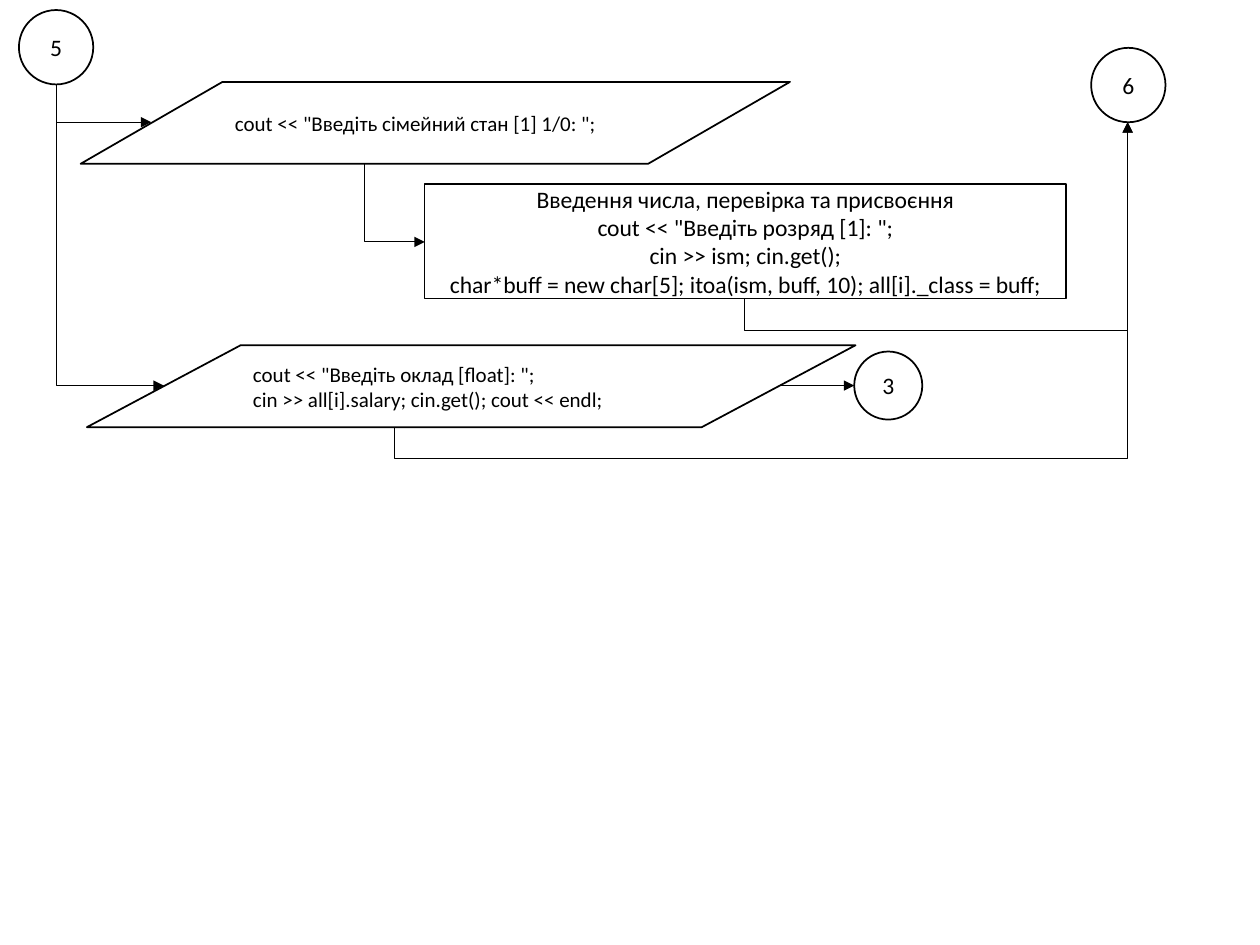
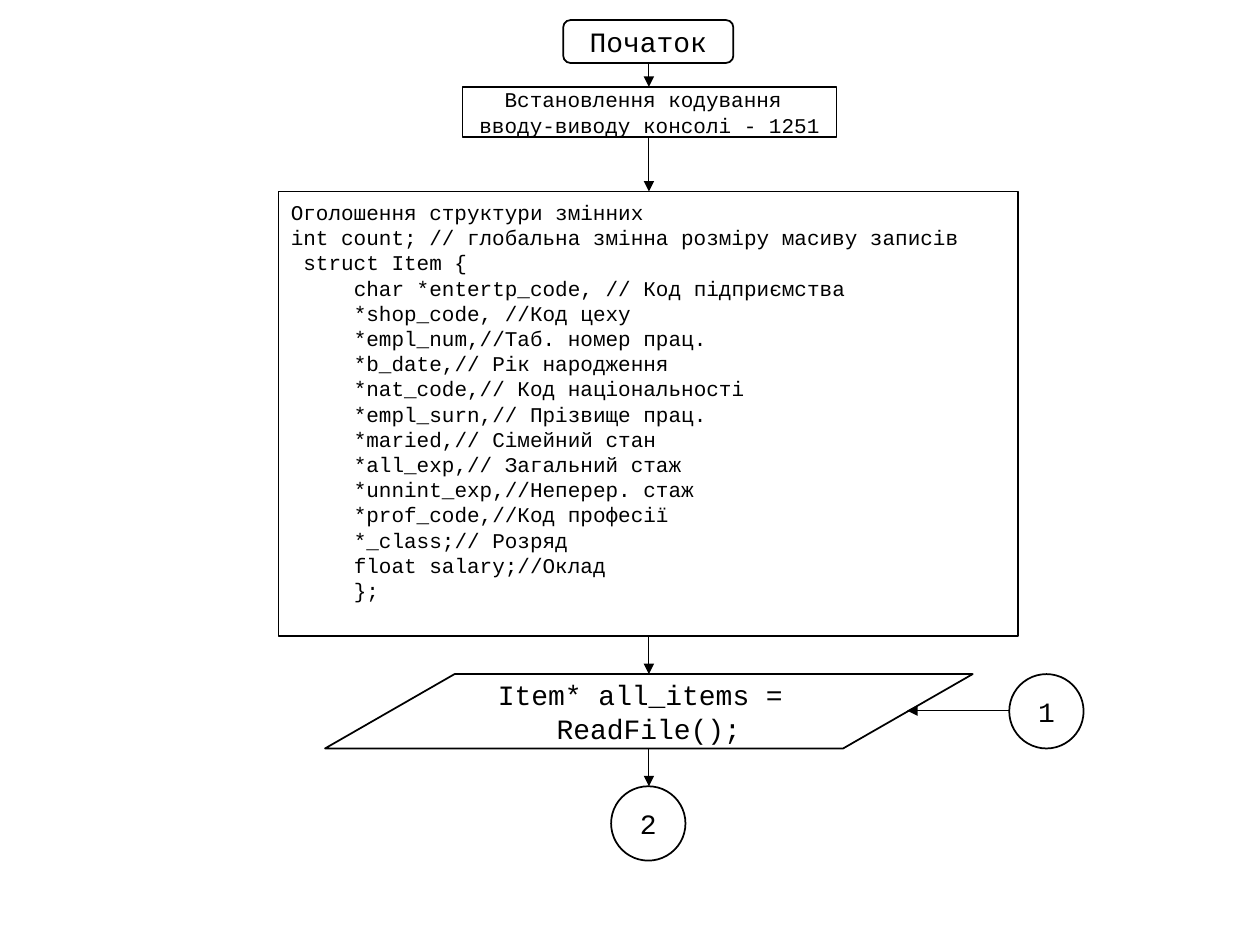
from pptx import Presentation
from pptx.dml.color import RGBColor
from pptx.enum.shapes import MSO_CONNECTOR as Link, MSO_SHAPE as Shape
from pptx.enum.text import MSO_ANCHOR as Anchor, PP_ALIGN as Align
from pptx.oxml.ns import qn
from pptx.util import Inches, Pt
from lxml.etree import SubElement

BLACK, WHITE = "000000", "FFFFFF"
SANS, MONO = "Calibri", "Courier New"
CIRCLE = 0.59
DROP = 0.25
AXIS = 5.15

FIELDS = [
    "char *entertp_code, // Код підприємства",
    "*shop_code, //Код цеху",
    "*empl_num,//Таб. номер прац.",
    "*b_date,// Рік народження",
    "*nat_code,// Код національності",
    "*empl_surn,// Прізвище прац.",
    "*maried,// Сімейний стан",
    "*all_exp,// Загальний стаж",
    "*unnint_exp,//Неперер. стаж",
    "*prof_code,//Код професії",
    "*_class;// Розряд",
    "float salary;//Оклад",
    "};",
]


def color(hex_code):
    return RGBColor.from_string(hex_code)


def block(slide, kind, box, lines, font, size, align=Align.CENTER):
    shape = slide.shapes.add_shape(kind, *map(Inches, box))
    shape.shadow.inherit = False
    shape.fill.solid()
    shape.fill.fore_color.rgb = color(WHITE)
    shape.line.color.rgb = color(BLACK)
    shape.line.width = Pt(1)
    frame = shape.text_frame
    frame.word_wrap = True
    frame.vertical_anchor = Anchor.MIDDLE
    for index, line in enumerate(lines):
        paragraph = frame.add_paragraph() if index else frame.paragraphs[0]
        paragraph.text = line
        paragraph.alignment = align
        paragraph.font.name = font
        paragraph.font.size = Pt(size)
        paragraph.font.color.rgb = color(BLACK)
    return frame


def junction(slide, left, top, number, font, size, diameter=CIRCLE):
    frame = block(slide, Shape.OVAL, (left, top, diameter, diameter), [number], font, size)
    frame.margin_left = frame.margin_right = Inches(0.07)
    frame.margin_top = frame.margin_bottom = Inches(0.04)


def arrow(slide, start, end, kind=Link.STRAIGHT):
    link = slide.shapes.add_connector(kind, *map(Inches, (*start, *end)))
    link.line.color.rgb = color(BLACK)
    link.line.width = Pt(0.5)
    properties = link._element.spPr
    SubElement(properties.find(qn("a:ln")), qn("a:tailEnd"), type="triangle")
    SubElement(properties, qn("a:effectLst"))
    return properties


def turned_elbow(slide, start, end, preset, **turn):
    (x1, y1), (x2, y2) = start, end
    width, height = abs(y2 - y1), abs(x2 - x1)
    left, top = (x1 + x2 - width) / 2, (y1 + y2 - height) / 2
    properties = arrow(slide, (left, top), (left + width, top + height), Link.ELBOW)
    transform = properties.find(qn("a:xfrm"))
    for name, value in turn.items():
        transform.set(name, value)
    geometry = properties.find(qn("a:prstGeom"))
    geometry.set("prst", preset)
    return geometry.find(qn("a:avLst"))


def down_then_right(slide, start, end):
    turned_elbow(slide, start, end, "bentConnector2", rot="16200000", flipH="1")


def under_and_up(slide, start, end):
    adjustments = turned_elbow(slide, start, end, "bentConnector3",
                               rot="5400000", flipH="1", flipV="1")
    bend = round(-DROP / (start[1] - end[1]) * 100000)
    SubElement(adjustments, qn("a:gd"), name="adj1", fmla=f"val {bend}")


def input_slide(slide):
    source, target = (0.45, 0.67), (8.95, 0.97)
    junction(slide, 0.15, 0.08, "5", SANS, 13.5)
    down_then_right(slide, source, (1.2, 0.97))
    down_then_right(slide, source, (1.3, 3.06))
    junction(slide, 8.66, 0.38, "6", SANS, 13.5)
    under_and_up(slide, (3.13, 3.39), target)
    block(slide, Shape.FLOWCHART_DATA, (0.64, 0.65, 5.63, 0.65),
          ['cout << "Введіть сімейний стан [1] 1/0: ";'], SANS, 12, Align.LEFT)
    block(slide, Shape.FLOWCHART_PROCESS, (3.37, 1.46, 5.09, 0.91),
          ["Введення числа, перевірка та присвоєння",
           'cout << "Введіть розpяд [1]: ";',
           "cin >> ism; cin.get();",
           "char*buff = new char[5]; itoa(ism, buff, 10); all[i]._class = buff;"],
          SANS, 13.5)
    down_then_right(slide, (2.89, 1.3), (3.37, 1.92))
    junction(slide, 6.78, 2.79, "3", SANS, 13.5, 0.54)
    block(slide, Shape.FLOWCHART_DATA, (0.69, 2.74, 6.1, 0.65),
          ['cout << "Введіть оклад [float]: ";',
           "cin >> all[i].salary; cin.get(); cout << endl;"], SANS, 12, Align.LEFT)
    arrow(slide, (6.18, 3.06), (6.78, 3.06))
    under_and_up(slide, (5.91, 2.37), target)


def start_slide(slide):
    block(slide, Shape.ROUNDED_RECTANGLE, (4.47, 0.16, 1.35, 0.34), ["Початок"], MONO, 16)
    structure = block(slide, Shape.FLOWCHART_PROCESS, (2.21, 1.52, 5.87, 3.53),
                      ["Оголошення структури змінних",
                       "int count; // глобальна змінна розміру масиву записів",
                       " struct Item {", *FIELDS], MONO, 12, Align.LEFT)
    structure.margin_bottom = Inches(0.25)
    for field in structure.paragraphs[-len(FIELDS):]:
        field.level = 1
        field._p.get_or_add_pPr().set("marL", str(Inches(0.5)))
    block(slide, Shape.FLOWCHART_PROCESS, (3.67, 0.69, 2.97, 0.4),
          ["Встановлення кодування ", "вводу-виводу консолі - 1251"], MONO, 12)
    junction(slide, 8.01, 5.35, "1", MONO, 16)
    block(slide, Shape.FLOWCHART_DATA, (2.58, 5.35, 5.14, CIRCLE),
          ["Item* all_items =  ReadFile();"], MONO, 16)
    arrow(slide, (8.01, 5.64), (7.2, 5.64))
    junction(slide, 4.85, 6.24, "2", MONO, 16)
    for top, bottom in [(0.5, 0.69), (1.09, 1.52), (5.05, 5.35), (5.94, 6.24)]:
        arrow(slide, (AXIS, top), (AXIS, bottom))


def main():
    deck = Presentation()
    deck.slide_width, deck.slide_height = Inches(10), Inches(7.5)
    for draw in (input_slide, start_slide):
        draw(deck.slides.add_slide(deck.slide_layouts[6]))
    deck.save("out.pptx")


main()
